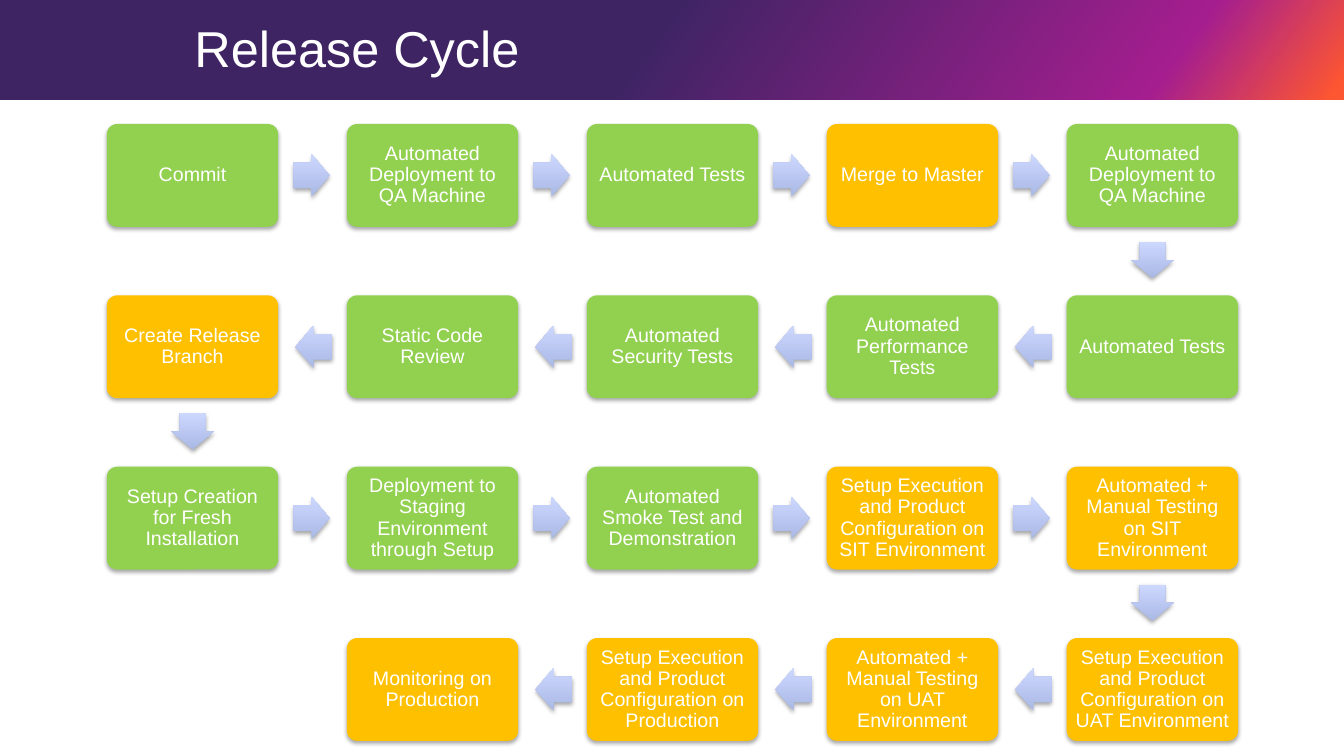
from lxml import etree
from pptx import Presentation
from pptx.dml.color import RGBColor
from pptx.enum.shapes import MSO_SHAPE
from pptx.enum.text import MSO_ANCHOR, PP_ALIGN
from pptx.oxml import parse_xml
from pptx.oxml.ns import qn
from pptx.util import Inches, Pt

RECT, ROUNDED, ARROW = MSO_SHAPE.RECTANGLE, MSO_SHAPE.ROUNDED_RECTANGLE, MSO_SHAPE.RIGHT_ARROW
MIDDLE = MSO_ANCHOR.MIDDLE
LEFT, CENTER = PP_ALIGN.LEFT, PP_ALIGN.CENTER

WHITE = RGBColor(0xFF, 0xFF, 0xFF)
GREEN = RGBColor(0x92, 0xD0, 0x50)
AMBER = RGBColor(0xFF, 0xC0, 0x00)
VIOLET = RGBColor(0x3F, 0x24, 0x64)
MAGENTA = RGBColor(0xA4, 0x1E, 0x8F)
ORANGE = RGBColor(0xFD, 0x56, 0x32)
BLUE = RGBColor(0xAA, 0xB8, 0xE5)
PALE_BLUE = RGBColor(0xCD, 0xD8, 0xFF)
BLACK = RGBColor(0x00, 0x00, 0x00)

HEADER_STOPS = [(0, VIOLET), (48, VIOLET), (86, MAGENTA), (99, ORANGE), (100, ORANGE)]
ARROW_STOPS = [(0, BLUE), (100, PALE_BLUE)]

# Grid of steps, read in alternating directions
COLUMNS = 5
GRID_X, GRID_Y = 1.06, 1.23
PITCH_X, PITCH_Y = 2.38, 1.7
BOX_W, BOX_H = 1.7, 1.02
ARROW_W, ARROW_H = 0.36, 0.42
ARROW_REACH = 1.18  # from box centre to the centre of a sideways arrow
DROP_REACH = 0.84   # from box centre to the centre of a downward arrow

STEPS = [
    ("Commit", GREEN),
    ("Automated Deployment to QA Machine", GREEN),
    ("Automated Tests", GREEN),
    ("Merge to Master", AMBER),
    ("Automated Deployment to QA Machine", GREEN),
    ("Automated Tests", GREEN),
    ("Automated Performance Tests", GREEN),
    ("Automated Security Tests", GREEN),
    ("Static Code Review", GREEN),
    ("Create Release Branch", AMBER),
    ("Setup Creation for Fresh Installation", GREEN),
    ("Deployment to Staging Environment through Setup", GREEN),
    ("Automated Smoke Test and Demonstration", GREEN),
    ("Setup Execution and Product Configuration on SIT Environment", AMBER),
    ("Automated + Manual Testing on SIT Environment", AMBER),
    ("Setup Execution and Product Configuration on UAT Environment", AMBER),
    ("Automated + Manual Testing on UAT Environment", AMBER),
    ("Setup Execution and Product Configuration on Production", AMBER),
    ("Monitoring on Production", AMBER),
]


def write(shape, text, size=14, color=WHITE, font="Arial", align=CENTER, inset=(0.06, 0.06)):
    tf = shape.text_frame
    tf.word_wrap = True
    tf.vertical_anchor = MIDDLE
    tf.margin_left = tf.margin_right = Inches(inset[0])
    tf.margin_top = tf.margin_bottom = Inches(inset[1])
    p = tf.paragraphs[0]
    p.alignment = align
    p.line_spacing = 0.9
    r = p.add_run()
    r.text = text
    r.font.size = Pt(size)
    r.font.name = font
    r.font.color.rgb = color


class Deck:
    def __init__(self, width, height):
        self.prs = Presentation()
        self.prs.slide_width, self.prs.slide_height = Inches(width), Inches(height)
        self.s = self.prs.slides.add_slide(self.prs.slide_layouts[6])

    def shape(self, kind, x, y, w, h, fill=None):
        sp = self.s.shapes.add_shape(kind, Inches(x), Inches(y), Inches(w), Inches(h))
        sp.shadow.inherit = False
        sp.line.fill.background()
        if fill is not None:
            sp.fill.solid()
            sp.fill.fore_color.rgb = fill
        return sp

    def gradient(self, sp, stops, angle):
        sp.fill.gradient()
        grad = sp._element.spPr.find(qn("a:gradFill"))
        gs = "".join(f'<a:gs pos="{pos * 1000}"><a:srgbClr val="{color}"/></a:gs>'
                     for pos, color in stops)
        grad.getparent().replace(grad, parse_xml(
            '<a:gradFill xmlns:a="http://schemas.openxmlformats.org/drawingml/2006/main" '
            f'rotWithShape="0"><a:gsLst>{gs}</a:gsLst>'
            f'<a:lin ang="{angle * 60000}" scaled="0"/></a:gradFill>'))

    def shadow(self, sp):
        effects = sp._element.spPr.find(qn("a:effectLst"))
        outer = etree.SubElement(effects, qn("a:outerShdw"), blurRad=str(Pt(3.1)),
                                 dist=str(Pt(1.8)), dir="5400000", rotWithShape="0")
        color = etree.SubElement(outer, qn("a:srgbClr"), val=str(BLACK))
        etree.SubElement(color, qn("a:alpha"), val="35000")

    def header(self, text):
        band = self.shape(RECT, 0, 0, 13.33, 0.99)
        self.gradient(band, HEADER_STOPS, 36)
        box = self.s.shapes.add_textbox(Inches(1.83), Inches(-0.22), Inches(5.15), Inches(1.45))
        write(box, text, size=36, align=LEFT, inset=(0.1, 0.05))

    def step(self, cx, cy, text, fill):
        sp = self.shape(ROUNDED, cx - BOX_W / 2, cy - BOX_H / 2, BOX_W, BOX_H, fill)
        sp.adjustments[0] = 0.1
        self.shadow(sp)
        write(sp, text)

    def arrow(self, cx, cy, rotation):
        sp = self.shape(ARROW, cx - ARROW_W / 2, cy - ARROW_H / 2, ARROW_W, ARROW_H)
        sp.adjustments[0], sp.adjustments[1] = 0.6, 0.5
        sp.rotation = rotation
        self.gradient(sp, ARROW_STOPS, 270)
        self.shadow(sp)


def main():
    deck = Deck(13.33, 7.5)
    deck.header("Release Cycle")

    # Steps, each followed by an arrow to the next one
    for n, (text, fill) in enumerate(STEPS):
        row, place = divmod(n, COLUMNS)
        forward = row % 2 == 0
        col = place if forward else COLUMNS - 1 - place
        cx = GRID_X + BOX_W / 2 + col * PITCH_X
        cy = GRID_Y + BOX_H / 2 + row * PITCH_Y
        deck.step(cx, cy, text, fill)
        if n == len(STEPS) - 1:
            break
        if place == COLUMNS - 1:
            deck.arrow(cx, cy + DROP_REACH, 90)
        elif forward:
            deck.arrow(cx + ARROW_REACH, cy, 0)
        else:
            deck.arrow(cx - ARROW_REACH, cy, 180)

    deck.prs.save("out.pptx")


if __name__ == "__main__":
    main()
